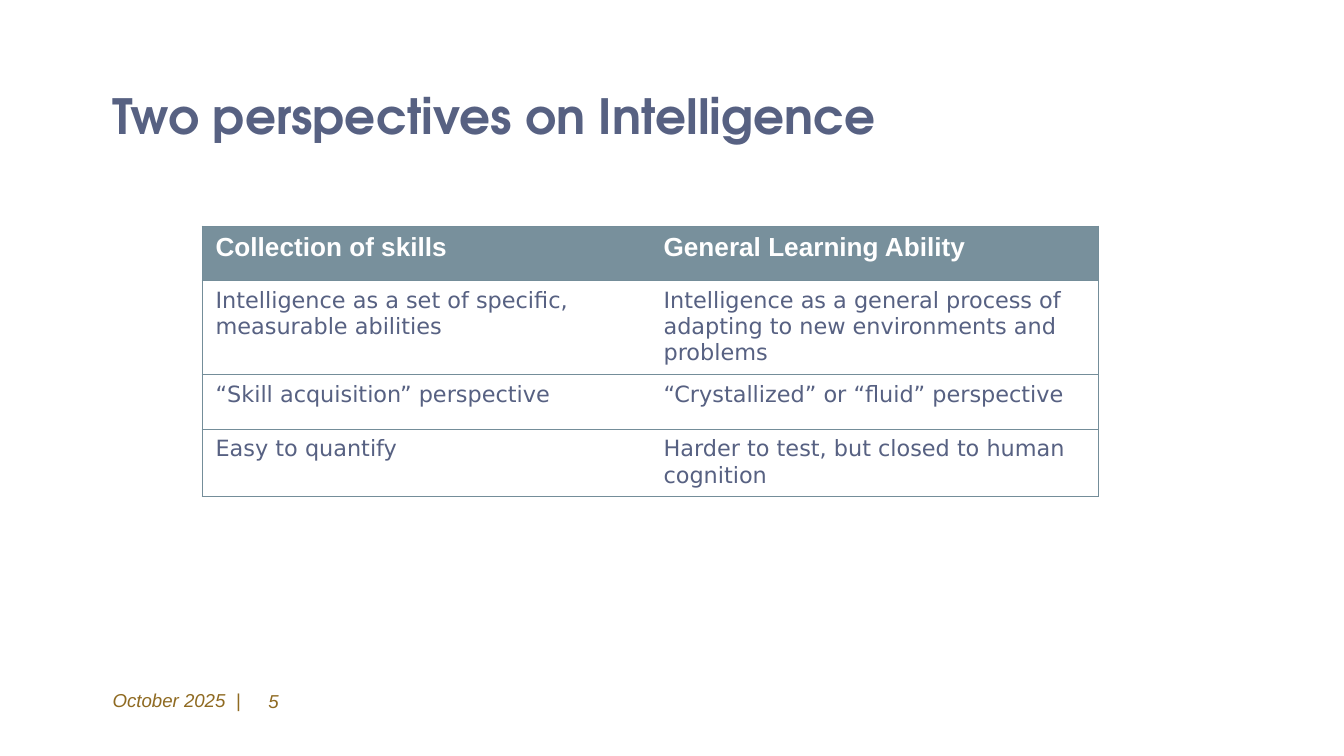
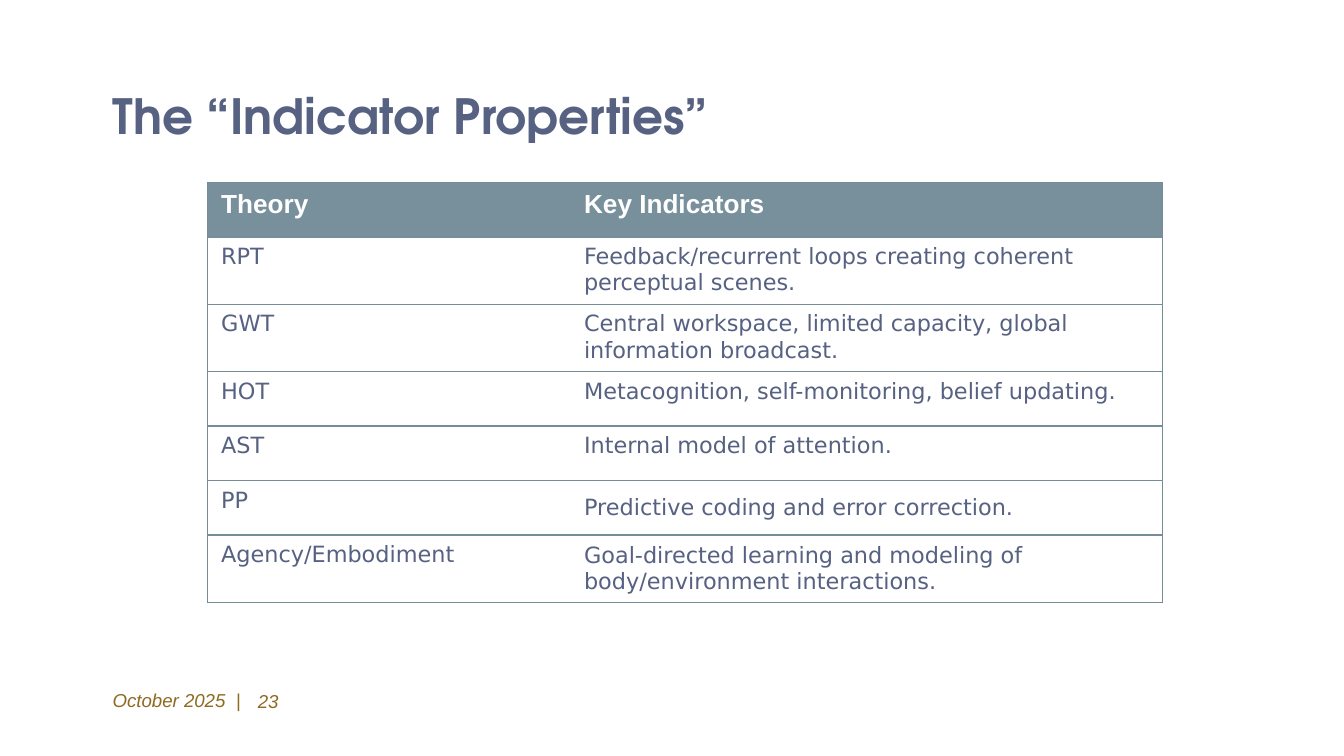
from lxml.etree import SubElement
from pptx import Presentation
from pptx.dml.color import RGBColor
from pptx.enum.text import MSO_ANCHOR, PP_ALIGN
from pptx.oxml.ns import qn
from pptx.util import Pt

COLORS = {
    "title": "576182",
    "body": "576182",
    "footer": "8F6A21",
    "header_text": "FFFFFF",
    "header_fill": "78909C",
    "border": "748D99",
}
STYLES = {
    "title": {"name": "TeX Gyre Adventor", "size": 26, "bold": True},
    "footer": {"name": "Arial", "size": 10, "italic": True},
    "header_text": {"name": "Arial", "size": 14, "bold": True},
    "body": {"name": "DejaVu Sans", "size": 12, "bold": False},
}
PERSPECTIVES = [
    ("Collection of skills", "General Learning Ability"),
    ("Intelligence as a set of specific, measurable abilities",
     "Intelligence as a general process of adapting to new environments and problems"),
    ("“Skill acquisition” perspective", "“Crystallized” or “fluid” perspective"),
    ("Easy to quantify", "Harder to test, but closed to human cognition"),
]
INDICATORS = [
    ("Theory", "Key Indicators"),
    ("RPT", "Feedback/recurrent loops creating coherent perceptual scenes."),
    ("GWT", "Central workspace, limited capacity, global information broadcast."),
    ("HOT", "Metacognition, self-monitoring, belief updating."),
    ("AST", "Internal model of attention."),
    ("PP", "Predictive coding and error correction."),
    ("Agency/Embodiment",
     "Goal-directed learning and modeling of body/environment interactions."),
]


class Deck:
    row_height = 29.2
    text_inset = 7.2
    left_edge = 53.28

    def __init__(self):
        self.presentation = Presentation()
        self.presentation.slide_width = Pt(720)
        self.presentation.slide_height = Pt(405)
        self.slide = None

    def add_slide(self, title, number):
        self.slide = self.presentation.slides.add_slide(self.presentation.slide_layouts[6])
        self.add_text("October 2025  |", "footer", self.left_edge, 362.88, 110, 24)
        page = self.add_text(str(number), "footer", 128.9, 360, 27.4, 31)
        page.vertical_anchor = MSO_ANCHOR.MIDDLE
        page.paragraphs[0].alignment = PP_ALIGN.RIGHT
        self.add_text(title, "title", self.left_edge, 38.9, 671, 49)

    def add_run(self, paragraph, text, style):
        run = paragraph.add_run()
        run.text = text
        settings = STYLES[style]
        run.font.name = settings["name"]
        run.font.size = Pt(settings["size"])
        run.font.bold = settings.get("bold", False)
        run.font.italic = settings.get("italic", False)
        run.font.color.rgb = RGBColor.from_string(COLORS[style])

    def add_text(self, text, style, left, top, width, height):
        frame = self.slide.shapes.add_textbox(Pt(left), Pt(top), Pt(width), Pt(height)).text_frame
        frame.word_wrap = True
        frame.margin_left = frame.margin_right = Pt(self.text_inset)
        frame.margin_top = frame.margin_bottom = Pt(self.text_inset)
        self.add_run(frame.paragraphs[0], text, style)
        return frame

    def add_borders(self, cell, sides):
        properties = cell._tc.get_or_add_tcPr()
        for side in "LRTB":
            line = SubElement(properties, qn(f"a:ln{side}"), w=str(Pt(0.75)))
            if side in sides:
                fill = SubElement(line, qn("a:solidFill"))
                SubElement(fill, qn("a:srgbClr"), val=COLORS["border"])
            else:
                SubElement(line, qn("a:noFill"))

    def add_table(self, rows, left, top, widths, middle_cells=()):
        table = self.slide.shapes.add_table(
            len(rows), len(widths), Pt(left), Pt(top),
            Pt(sum(widths)), Pt(self.row_height * len(rows))).table
        table.horz_banding = False
        for column, width in zip(table.columns, widths):
            column.width = Pt(width)
        for row_index, texts in enumerate(rows):
            table.rows[row_index].height = Pt(self.row_height)
            for column_index, text in enumerate(texts):
                cell = table.cell(row_index, column_index)
                self.add_borders(cell, "LTB" if column_index == 0 else "RTB")
                if row_index == 0:
                    cell.fill.solid()
                    cell.fill.fore_color.rgb = RGBColor.from_string(COLORS["header_fill"])
                else:
                    cell.fill.background()
                if (row_index, column_index) in middle_cells:
                    cell.vertical_anchor = MSO_ANCHOR.MIDDLE
                style = "header_text" if row_index == 0 else "body"
                self.add_run(cell.text_frame.paragraphs[0], text, style)


def main():
    deck = Deck()
    deck.add_slide("Two perspectives on Intelligence", 5)
    deck.add_table(PERSPECTIVES, 108.3, 121.2, (240, 240))
    deck.add_slide("The “Indicator Properties”", 23)
    deck.add_table(INDICATORS, 111.3, 97.8, (194.4, 317.3), {(5, 1), (6, 1)})
    deck.presentation.save("out.pptx")


if __name__ == "__main__":
    main()
